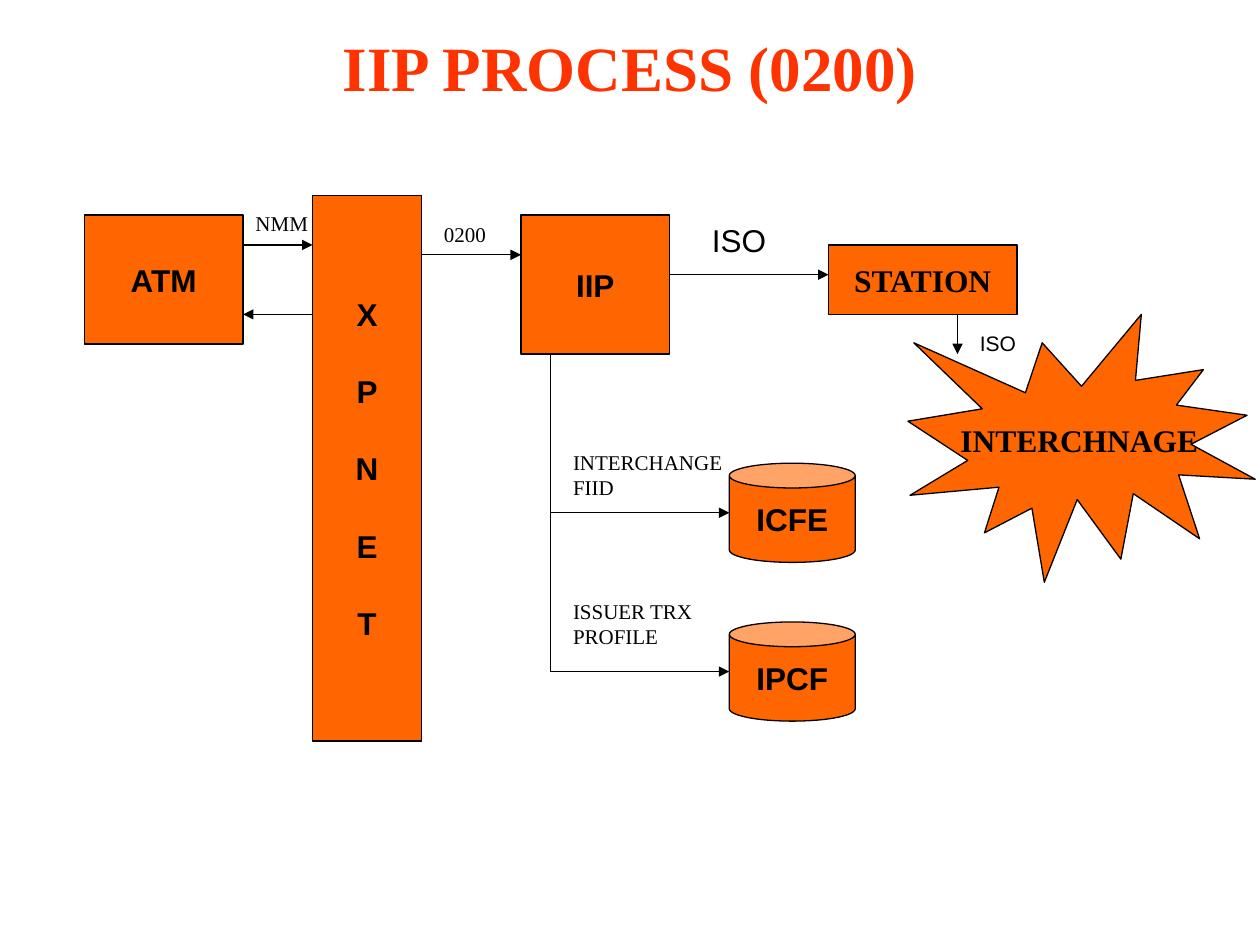
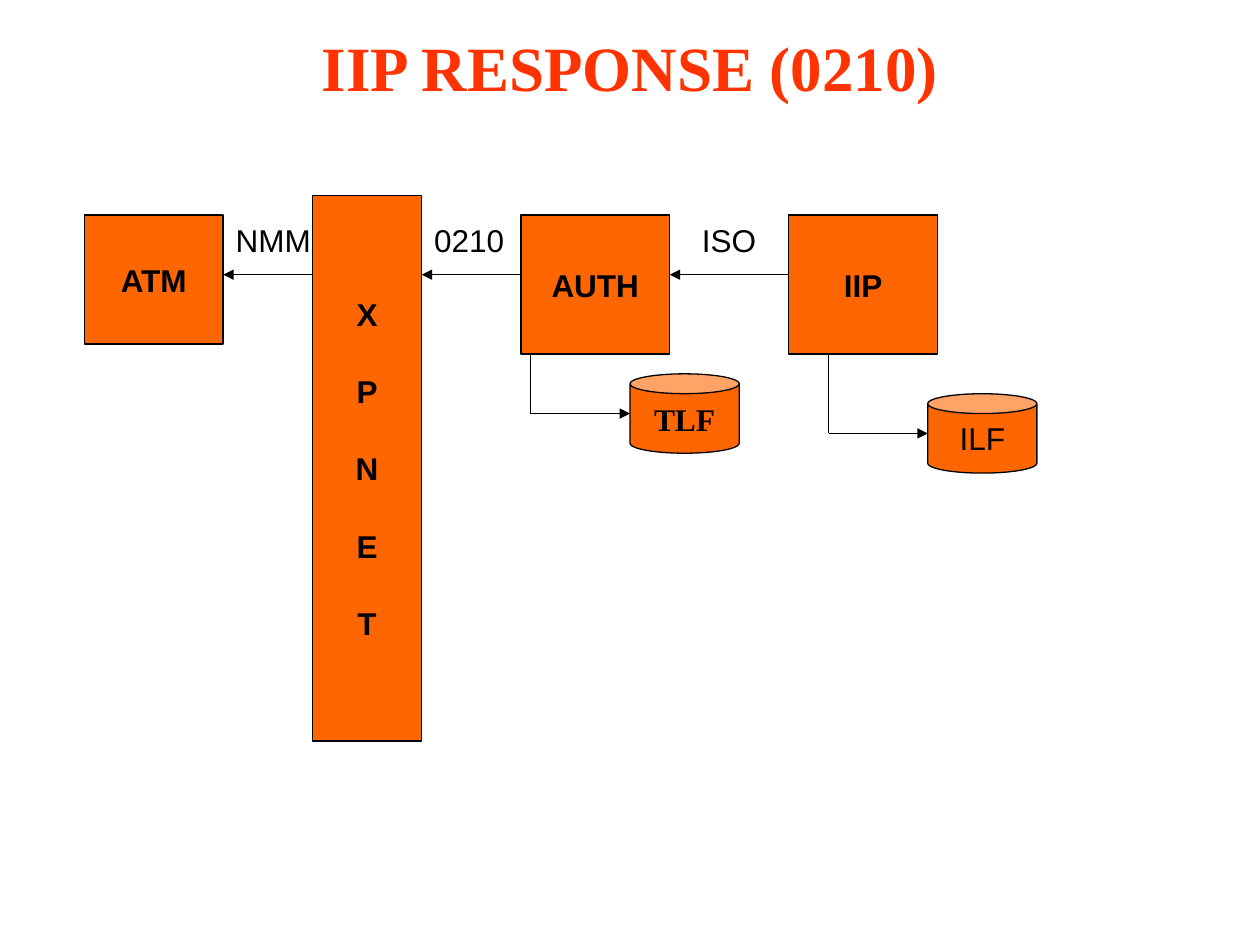
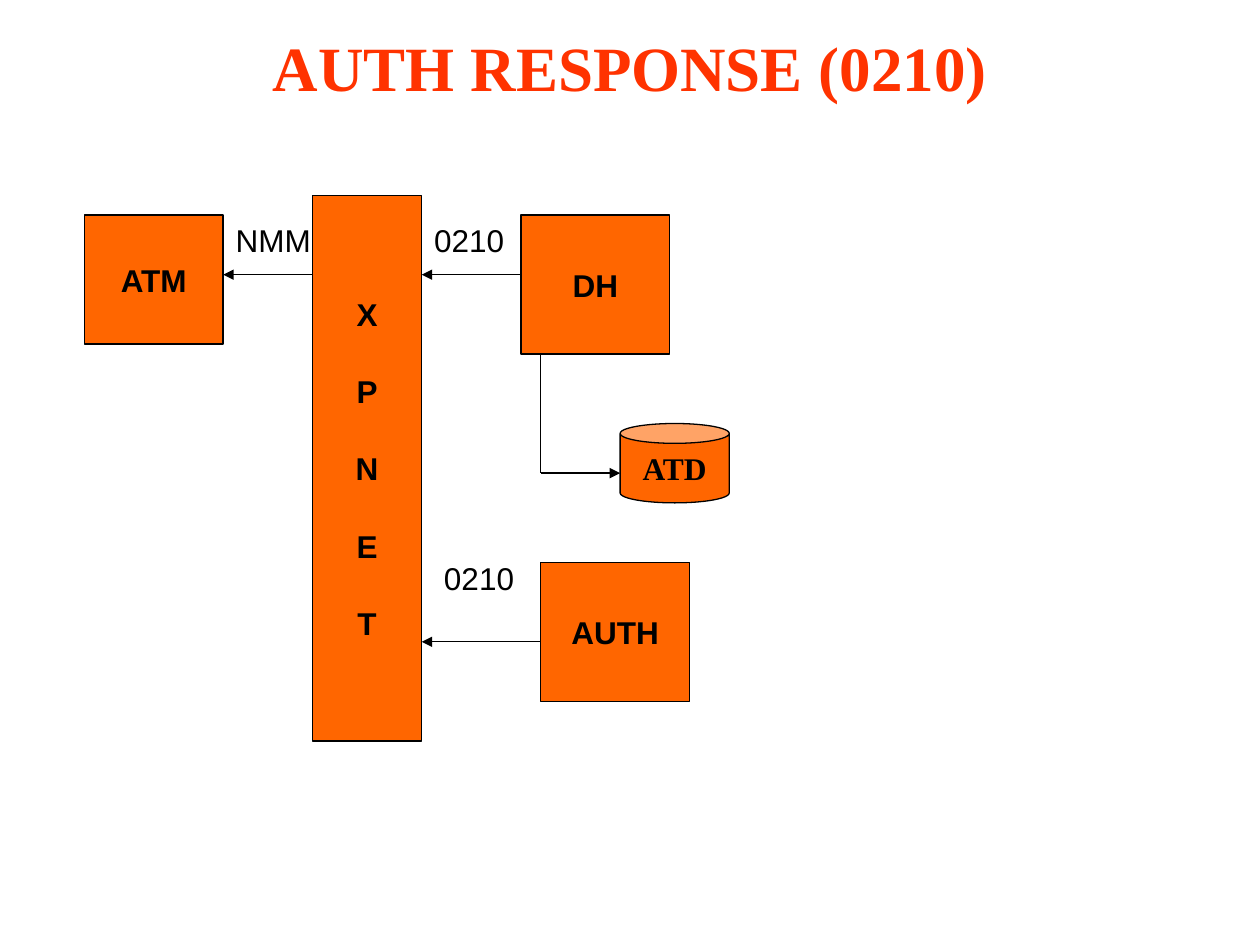
from pptx import Presentation
from pptx.dml.color import RGBColor
from pptx.enum.shapes import MSO_CONNECTOR, MSO_SHAPE
from pptx.enum.text import MSO_ANCHOR as ANCHOR, PP_ALIGN as ALIGN
from pptx.oxml.ns import qn
from pptx.util import Pt
from lxml.etree import SubElement

TITLE_RED = RGBColor(0xFF, 0x33, 0x00)
ORANGE = RGBColor(0xFF, 0x66, 0x00)
BLACK = RGBColor(0x00, 0x00, 0x00)
SANS, SERIF = "Arial", "Times New Roman"

RECT, CAN, BURST = MSO_SHAPE.RECTANGLE, MSO_SHAPE.CAN, MSO_SHAPE.EXPLOSION1
UNIT = 5.67                  # diagram grid step in points
DIAGRAM_BOX = (48.2, 111.6)  # left and top of every diagram, in points
TITLE_BOX = (36, 15.12, 648, 46.08)
LETTER_GAP = 22.6            # space between the stacked letters of XPNET


def write(tf, lines, size, font, color=BLACK, bold=False, align=ALIGN.LEFT, gap=0):
    """Fill a text frame with one paragraph per line."""
    for i, line in enumerate(lines):
        p = tf.paragraphs[0] if i == 0 else tf.add_paragraph()
        p.alignment = align
        if i and gap:
            p.space_before = Pt(gap)
        r = p.add_run()
        r.text = line
        r.font.size, r.font.name, r.font.bold = Pt(size), font, bold
        r.font.color.rgb = color


def add_title(s, text, box):
    sp = s.shapes.add_textbox(*map(Pt, box))
    tf = sp.text_frame
    tf.word_wrap = True
    tf.vertical_anchor = ANCHOR.MIDDLE
    write(tf, [text], 36, SERIF, TITLE_RED, True, ALIGN.CENTER)


class Diagram:
    """Draws on a slide in grid units, counted from the corner of a box."""

    def __init__(self, s, box):
        self.shapes = s.shapes
        self.left, self.top = box

    def at(self, x, y):
        return Pt(self.left + x * UNIT), Pt(self.top + y * UNIT)

    def node(self, text, x, y, w, h, kind=RECT, font=SANS, bold=True, gap=0):
        sp = self.shapes.add_shape(kind, *self.at(x, y), Pt(w * UNIT), Pt(h * UNIT))
        sp.shadow.inherit = False
        sp.fill.solid()
        sp.fill.fore_color.rgb = ORANGE
        sp.line.color.rgb = BLACK
        sp.line.width = Pt(0.75)
        tf = sp.text_frame
        tf.word_wrap = False
        tf.vertical_anchor = ANCHOR.MIDDLE
        write(tf, text.split("\n"), 18, font, bold=bold, align=ALIGN.CENTER, gap=gap)

    def line(self, x1, y1, x2, y2, arrow=True):
        cn = self.shapes.add_connector(
            MSO_CONNECTOR.STRAIGHT, *self.at(x1, y1), *self.at(x2, y2))
        cn.line.color.rgb = BLACK
        cn.line.width = Pt(0.75)
        if arrow:
            SubElement(cn.line._get_or_add_ln(), qn("a:tailEnd"), type="triangle")
        SubElement(cn._element.spPr, qn("a:effectLst"))

    def branch(self, x, y, end_x, end_y):
        """Line down from a node, then an arrow to the right."""
        self.line(x, y, x, end_y, arrow=False)
        self.line(x, end_y, end_x, end_y)

    def label(self, text, x, y, w, size=18, font=SANS, rows=1):
        sp = self.shapes.add_textbox(
            *self.at(x, y), Pt(w * UNIT), Pt(rows * size * 1.2 + 7.2))
        sp.text_frame.word_wrap = True
        write(sp.text_frame, text.split("\n"), size, font)

    def network(self, atm_width):
        """ATM beside the tall XPNET bar, found on every slide."""
        self.node("ATM", 0, 2, atm_width, 13)
        self.node("\n".join("XPNET"), 23, 0, 11, 55, gap=LETTER_GAP)

    def reply_path(self):
        """Arrows from the first process back to the ATM."""
        self.line(44, 8, 34, 8)
        self.line(23, 8, 14, 8)
        self.label("NMM", 14, 2, 10.5)
        self.label("0210", 34, 2, 10)


def iip_process(s, box):
    d = Diagram(s, box)
    d.network(16)
    d.node("IIP", 44, 2, 15, 14)
    d.line(16, 5, 23, 5)
    d.line(23, 12, 16, 12)
    d.line(34, 6, 44, 6)
    # Files read by the IIP
    d.node("ICFE", 65, 27, 12.7, 10, CAN)
    d.node("IPCF", 65, 43, 12.7, 10, CAN)
    d.branch(47, 16, 65, 48)
    d.line(47, 32, 65, 32)
    # Way out to the interchange
    d.node("STATION", 75, 5, 19, 7, font=SERIF)
    d.line(59, 8, 75, 8)
    d.node("INTERCHNAGE", 83, 12, 35, 27, BURST, SERIF)
    d.line(88, 12, 88, 16)
    # Labels
    d.label("NMM", 16, 0.9, 8, 12, SERIF)
    d.label("0200", 35, 2, 8, 12, SERIF)
    d.label("INTERCHANGE FIID", 48, 25, 18, 12, SERIF, rows=2)
    d.label("ISSUER TRX\nPROFILE", 48, 40, 15.5, 12, SERIF, rows=2)
    d.label("ISO", 62, 2, 8.5)
    d.label("ISO", 89, 13, 8, 12)


def iip_response(s, box):
    d = Diagram(s, box)
    d.network(14)
    d.node("AUTH", 44, 2, 15, 14)
    d.node("IIP", 71, 2, 15, 14)
    d.line(71, 8, 59, 8)
    # Log files
    d.node("TLF", 55, 18, 11, 8, CAN, SERIF)
    d.node("ILF", 85, 20, 11, 8, CAN, bold=False)
    d.branch(45, 16, 55, 22)
    d.branch(75, 16, 85, 24)
    d.reply_path()
    d.label("ISO", 61, 2, 8.5)


def auth_response(s, box):
    d = Diagram(s, box)
    d.network(14)
    d.node("DH", 44, 2, 15, 14)
    d.node("AUTH", 46, 37, 15, 14)
    d.node("ATD", 54, 24 - 1, 11, 8, CAN, SERIF)
    d.branch(46, 16, 54, 28)
    d.line(46, 45, 34, 45)
    d.reply_path()
    d.label("0210", 35, 36, 10)


def main():
    prs = Presentation()
    prs.slide_width, prs.slide_height = Pt(720), Pt(540)
    for title, draw in (
        ("IIP PROCESS (0200)", iip_process),
        ("IIP RESPONSE (0210)", iip_response),
        ("AUTH RESPONSE (0210)", auth_response),
    ):
        s = prs.slides.add_slide(prs.slide_layouts[6])
        add_title(s, title, TITLE_BOX)
        draw(s, DIAGRAM_BOX)
    prs.save("out.pptx")


if __name__ == "__main__":
    main()
